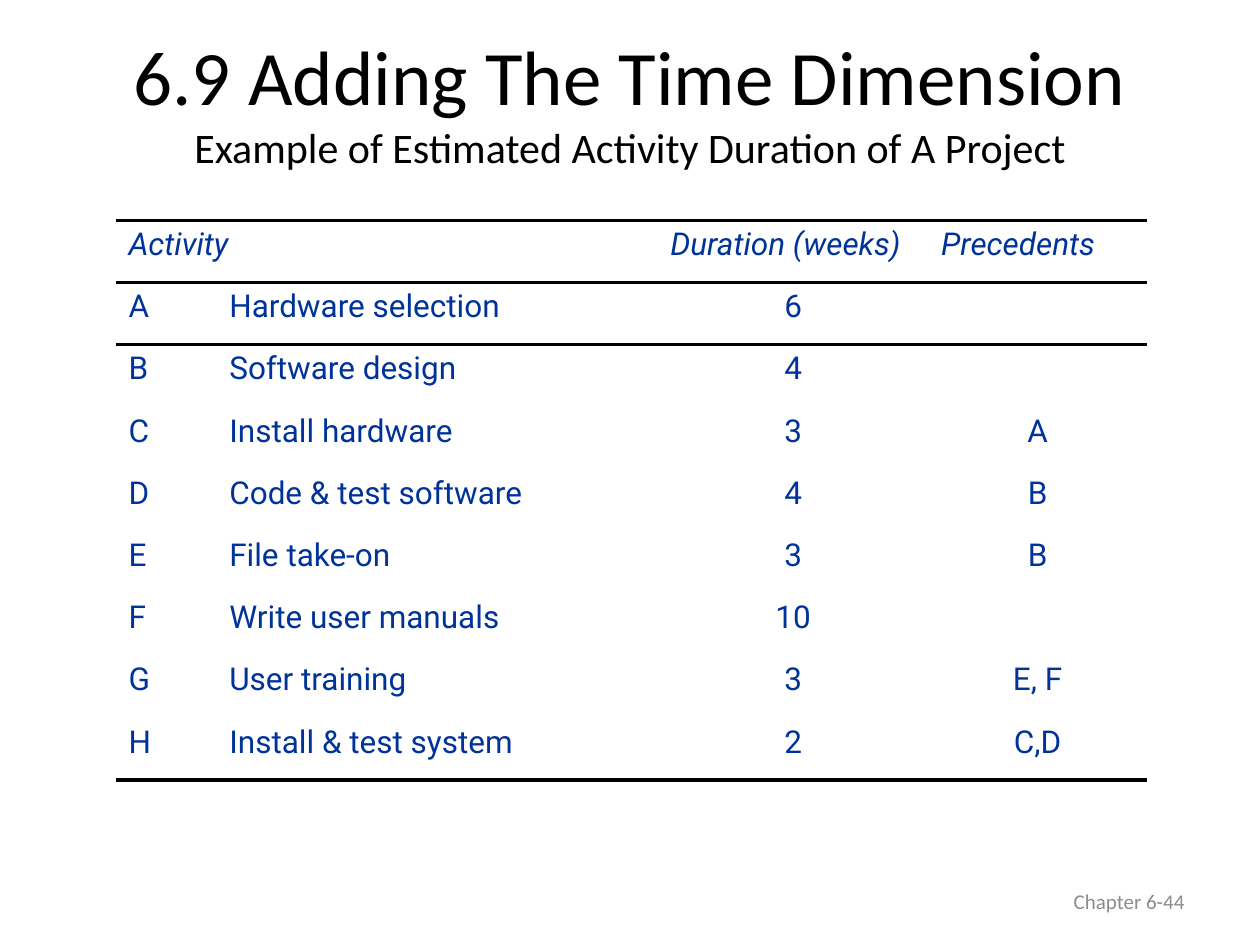
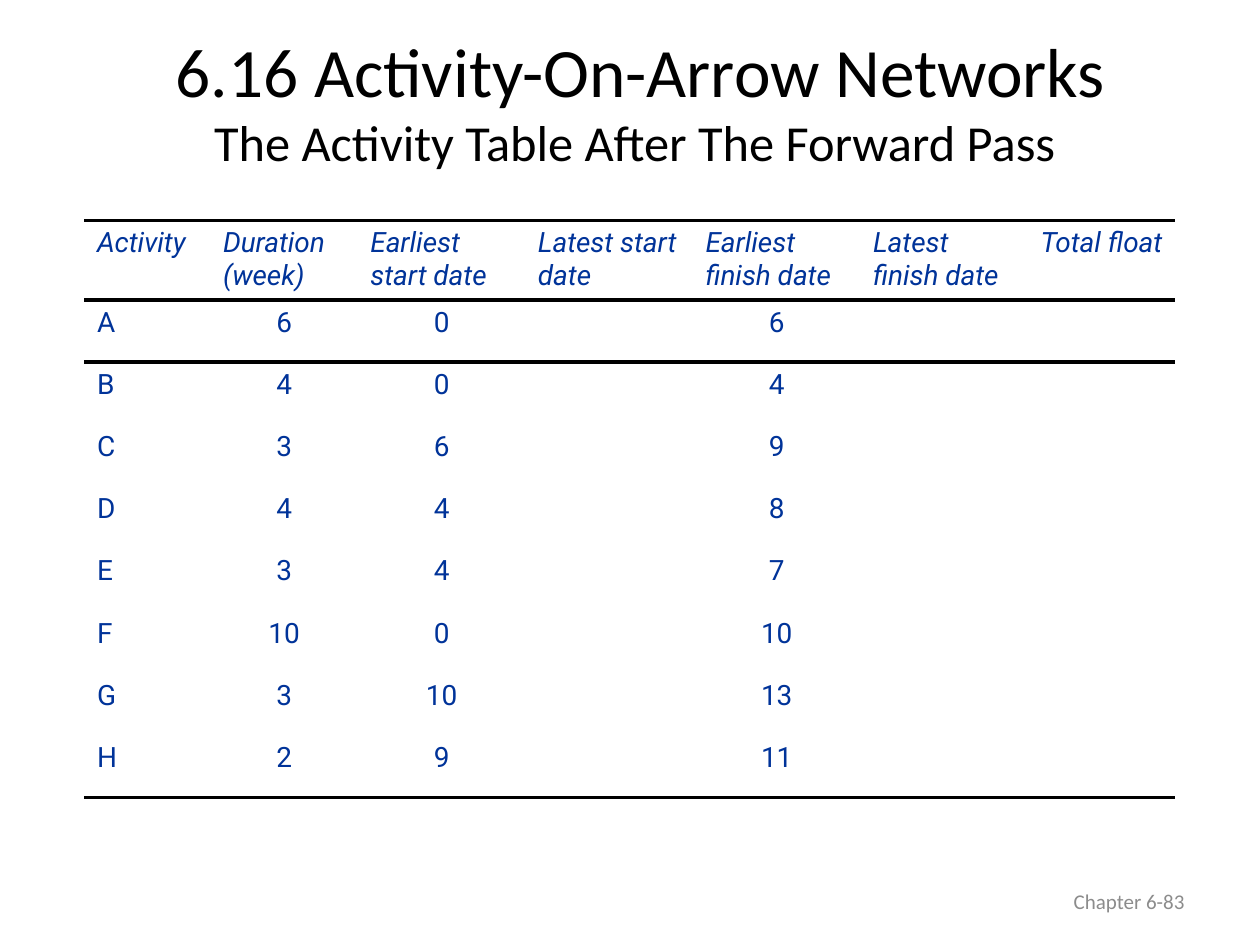
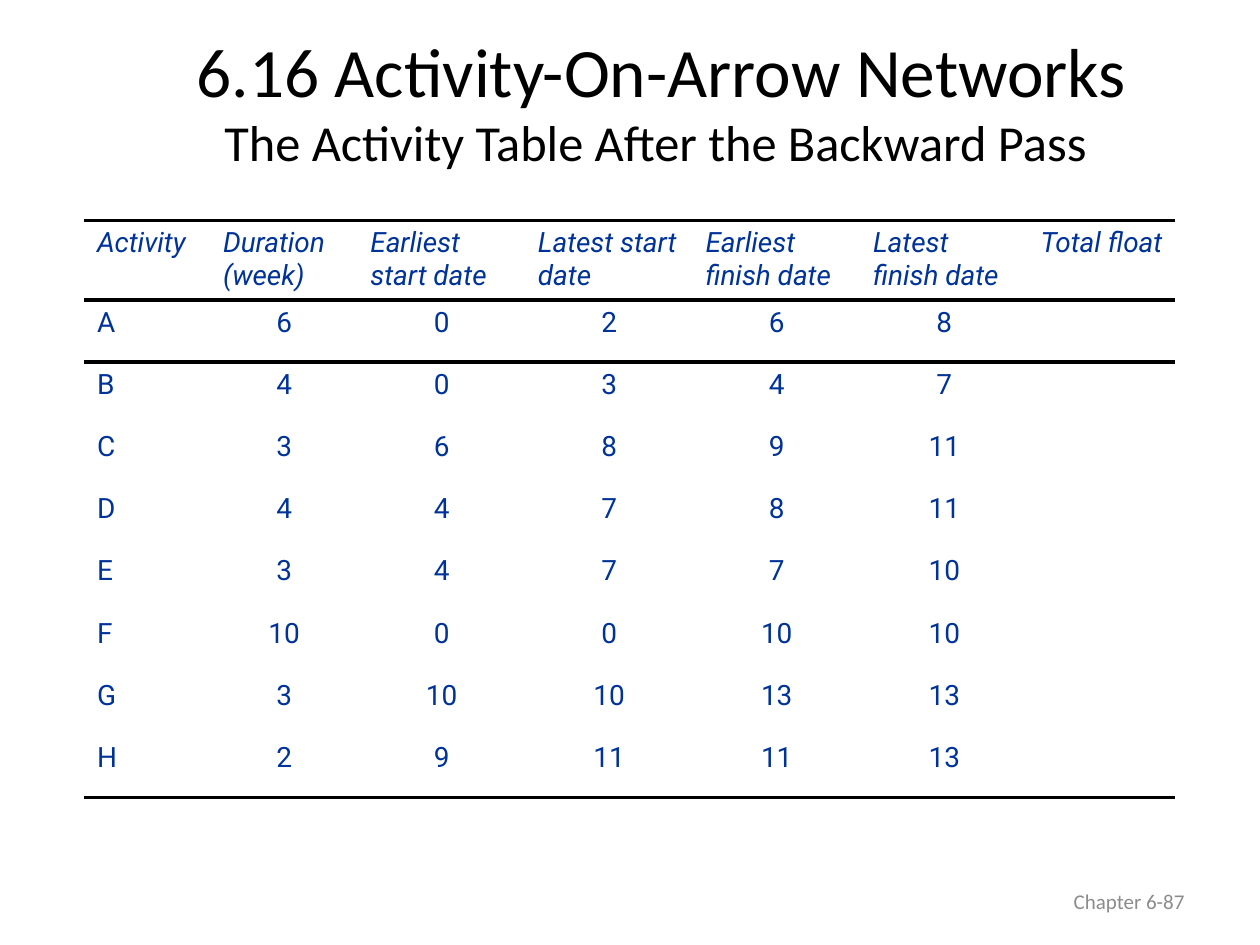
from dataclasses import dataclass

from lxml import etree
from pptx import Presentation
from pptx.dml.color import RGBColor
from pptx.enum.text import MSO_ANCHOR, MSO_AUTO_SIZE, PP_ALIGN
from pptx.oxml.ns import qn
from pptx.util import Inches, Pt

LEFT, CENTER, RIGHT = PP_ALIGN.LEFT, PP_ALIGN.CENTER, PP_ALIGN.RIGHT
MIDDLE = MSO_ANCHOR.MIDDLE
NO_FIT = MSO_AUTO_SIZE.NONE
TITLE_ONLY = 5
PLAIN_GRID = "{2D5ABB26-0587-4C30-8999-92F81FD0307C}"


@dataclass(frozen=True)
class Theme:
    ink: RGBColor = RGBColor(0, 0, 0)
    blue: RGBColor = RGBColor(0x00, 0x33, 0x99)
    gray: RGBColor = RGBColor(0x8C, 0x8C, 0x8C)
    main: str = "Calibri"
    grid: str = "Roboto"
    foot: float = 12
    rule: float = 2.25


@dataclass(frozen=True)
class Task:
    key: str
    name: str
    weeks: int
    needs: str
    early: int
    late: int


@dataclass(frozen=True)
class Grid:
    left: float
    cols: list[float]
    head: float  # height of the header row
    size: float
    rows: list[list[str]]
    labels: int  # leading columns that stay left-aligned


@dataclass(frozen=True)
class Page:
    title: str
    sub: str
    sizes: tuple[float, float]
    width: float
    grid: Grid
    number: int


THEME = Theme()
TOP = 1.75
BODY = 3.95

TASKS = [
    Task("A", "Hardware selection", 6, "", 0, 2),
    Task("B", "Software design", 4, "", 0, 3),
    Task("C", "Install hardware", 3, "A", 6, 8),
    Task("D", "Code & test software", 4, "B", 4, 7),
    Task("E", "File take-on", 3, "B", 4, 7),
    Task("F", "Write user manuals", 10, "", 0, 0),
    Task("G", "User training", 3, "E, F", 10, 10),
    Task("H", "Install & test system", 2, "C,D", 9, 11),
]


def plan_grid() -> Grid:
    rows = [["Activity", "", "Duration (weeks)", "Precedents"]]
    rows += [[t.key, t.name, str(t.weeks), t.needs] for t in TASKS]
    return Grid(0.92, [0.8, 3.5, 2.15, 1.73], 0.49, 18, rows, 2)


def pass_grid(back: bool) -> Grid:
    """Forward-pass dates, with the latest dates too once back is done."""
    rows = [["Activity", "Duration (week)", "Earliest start date", "Latest start date",
             "Earliest finish date", "Latest finish date", "Total float"]]
    for t in TASKS:
        late = [str(t.late), str(t.late + t.weeks)] if back else ["", ""]
        rows.append([t.key, str(t.weeks), str(t.early), late[0],
                     str(t.early + t.weeks), late[1], ""])
    return Grid(0.67, [1, 1.17, 1.33, 1.33, 1.33, 1.33, 1.17], 0.63, 16, rows, 1)


def add_rule(cell, side: str) -> None:
    line = etree.SubElement(cell._tc.get_or_add_tcPr(), qn(f"a:ln{side}"),
                            w=str(Pt(THEME.rule)))
    fill = etree.SubElement(line, qn("a:solidFill"))
    etree.SubElement(fill, qn("a:srgbClr"), val=str(THEME.ink))


def fill_cell(cell, text: str, size: float, align: PP_ALIGN, slant: bool) -> None:
    para = cell.text_frame.paragraphs[0]
    para.text = text
    para.alignment = align
    gap = etree.SubElement(para._p.get_or_add_pPr(), qn("a:spcBef"))
    etree.SubElement(gap, qn("a:spcPct"), val="20000")
    font = para.font
    font.name, font.size, font.italic = THEME.grid, Pt(size), slant
    font.color.rgb = THEME.blue


def draw_grid(slide, grid: Grid) -> None:
    count = len(grid.rows)
    frame = slide.shapes.add_table(count, len(grid.cols), Inches(grid.left), Inches(TOP),
                                   Inches(sum(grid.cols)), Inches(grid.head + BODY))
    table = frame.table
    table.first_row = table.horz_banding = False
    table._tbl.tblPr.find(qn("a:tableStyleId")).text = PLAIN_GRID
    for col, width in zip(table.columns, grid.cols):
        col.width = Inches(width)
    for r, row in enumerate(grid.rows):
        table.rows[r].height = Inches(BODY / (count - 1) if r else grid.head)
        for c, text in enumerate(row):
            cell = table.cell(r, c)
            if r < 2:
                add_rule(cell, "T")
            if r in (0, count - 1):
                add_rule(cell, "B")
            cell.fill.background()
            if text:
                align = CENTER if r and c >= grid.labels else LEFT
                fill_cell(cell, text, grid.size, align, r == 0)
    if grid.labels > 1:
        table.cell(0, 0).merge(table.cell(0, grid.labels - 1))


def draw_title(slide, page: Page) -> None:
    title = slide.shapes.title
    title.left, title.top = Inches(0.5), Inches(0.17)
    title.width, title.height = Inches(page.width), Inches(1.25)
    frame = title.text_frame
    frame.auto_size, frame.vertical_anchor = NO_FIT, MIDDLE
    para = frame.paragraphs[0]
    para.alignment = CENTER
    para.font.name, para.font.size = THEME.main, Pt(page.sizes[0])
    para.font.color.rgb = THEME.ink
    for text, size in zip((page.title, page.sub), page.sizes):
        if para.runs:
            para.add_line_break()
        run = para.add_run()
        run.text, run.font.size = text, Pt(size)


def draw_foot(slide, number: int) -> None:
    box = slide.shapes.add_textbox(Inches(7.17), Inches(6.95), Inches(2.33), Inches(0.4))
    frame = box.text_frame
    frame.word_wrap, frame.vertical_anchor = True, MIDDLE
    para = frame.paragraphs[0]
    para.text = f"Chapter 6-{number}"
    para.alignment = RIGHT
    para.font.name, para.font.size = THEME.main, Pt(THEME.foot)
    para.font.color.rgb = THEME.gray


def main() -> None:
    arrow = "6.16 Activity-On-Arrow Networks"
    pages = [
        Page("6.9 Adding The Time Dimension",
             "Example of Estimated Activity Duration of A Project",
             (44, 24), 9, plan_grid(), 44),
        Page(arrow, "The Activity Table After The Forward Pass ",
             (39.6, 28.8), 9.17, pass_grid(False), 83),
        Page(arrow, "The Activity Table After the Backward Pass ",
             (39.6, 28.8), 9.5, pass_grid(True), 87),
    ]
    deck = Presentation()
    deck.slide_width, deck.slide_height = Inches(10), Inches(7.5)
    for page in pages:
        slide = deck.slides.add_slide(deck.slide_layouts[TITLE_ONLY])
        draw_title(slide, page)
        draw_grid(slide, page.grid)
        draw_foot(slide, page.number)
    deck.save("out.pptx")


if __name__ == "__main__":
    main()
